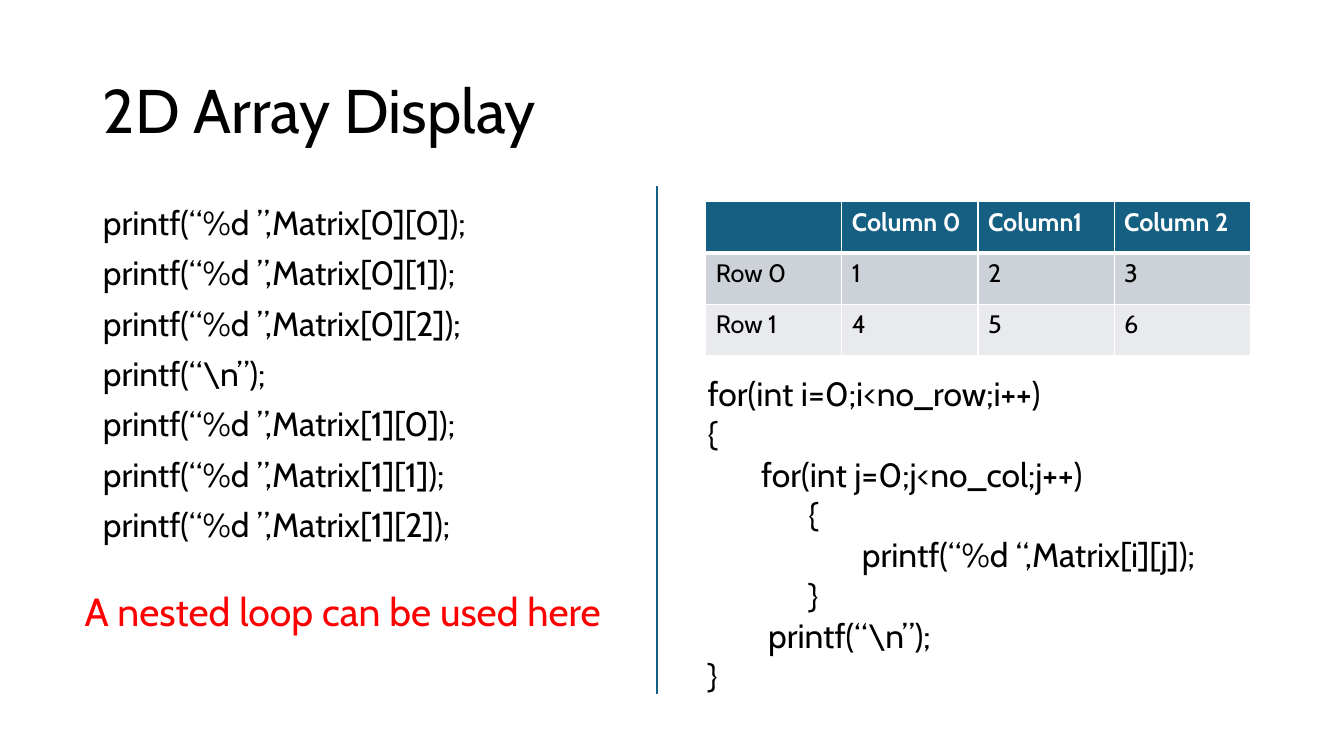
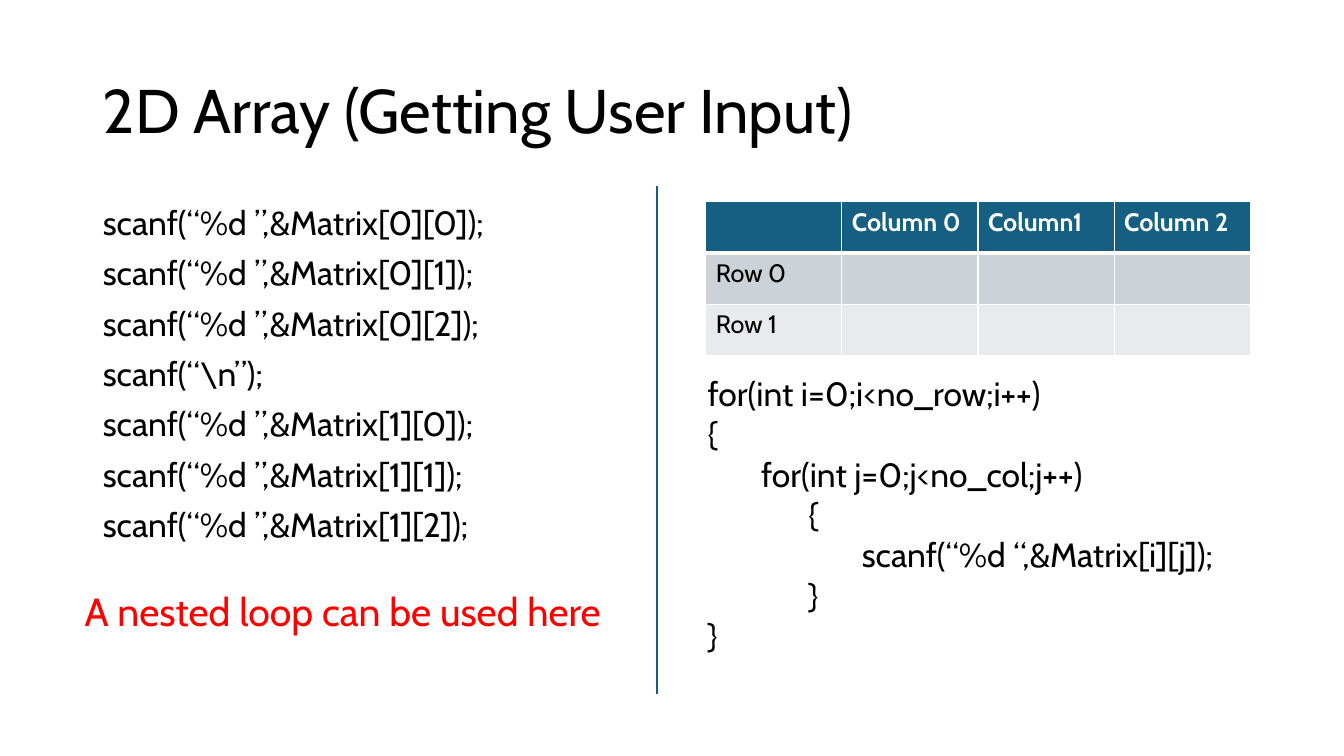
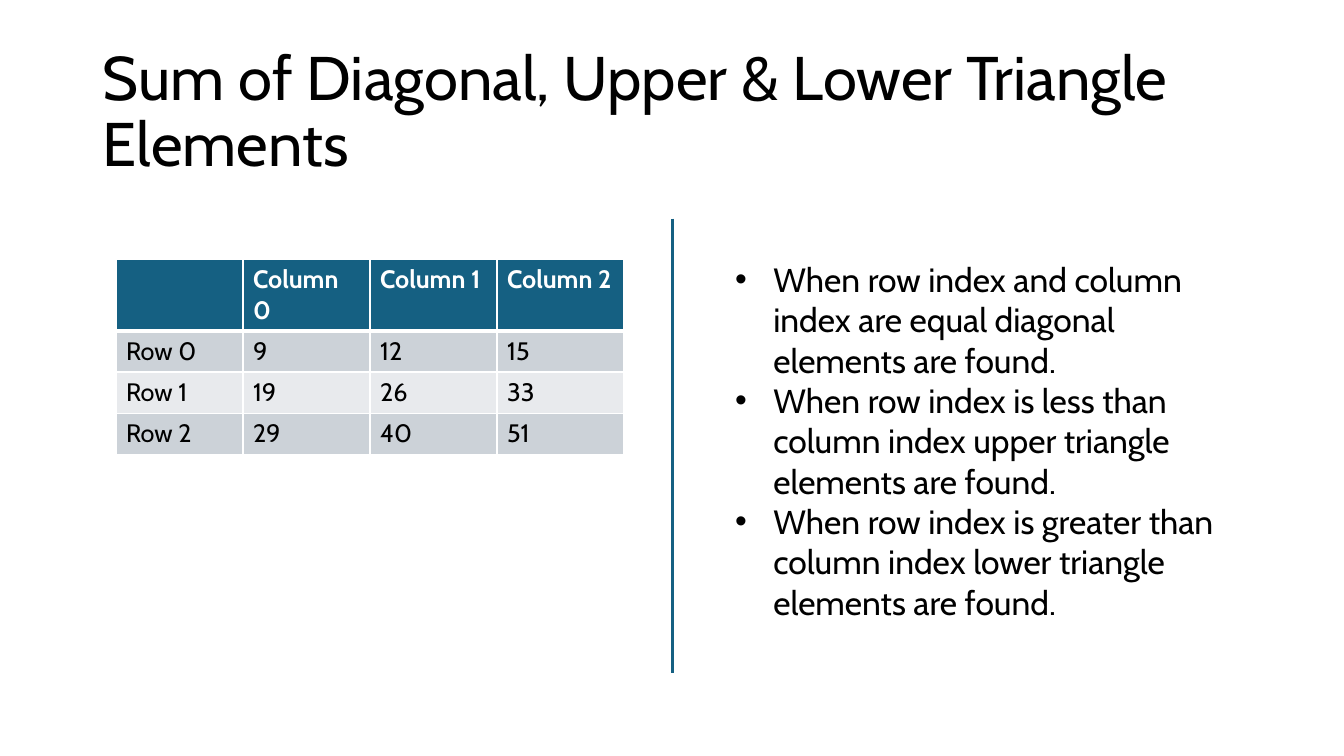
from dataclasses import dataclass

from lxml.etree import SubElement
from pptx import Presentation
from pptx.dml.color import RGBColor
from pptx.enum.shapes import MSO_CONNECTOR
from pptx.enum.text import MSO_ANCHOR, MSO_AUTO_SIZE, PP_ALIGN
from pptx.oxml.ns import qn
from pptx.slide import Slide
from pptx.text.text import TextFrame
from pptx.util import Inches, Pt


@dataclass(frozen=True)
class Theme:
    font: str = "Cabin"
    ink: str = "000000"
    paper: str = "FFFFFF"
    teal: str = "156082"
    red: str = "FF0000"
    bands: tuple[str, str] = ("CCD2D8", "E8EAED")
    title: int = 44
    note: int = 28
    body: int = 24
    cell: int = 18


@dataclass(frozen=True)
class Box:
    left: float
    top: float
    width: float
    height: float

    def place(self) -> tuple[int, int, int, int]:
        return (Inches(self.left), Inches(self.top),
                Inches(self.width), Inches(self.height))


@dataclass(frozen=True)
class Line:
    text: str
    indent: float = 0


@dataclass(frozen=True)
class Grid:
    left: float
    top: float
    col: float
    row: float
    cells: list[list[str]]


@dataclass(frozen=True)
class Rule:
    x: float
    top: float
    end: float


THEME = Theme()
HEAD = Box(0.92, 0.4, 11.5, 1.45)
BODY = Box(0.92, 2, 11.5, 4.76)
NOTE = Box(0.74, 5.78, 5.49, 0.62)
CODE = Box(6.92, 3.65, 5.4, 3.33)
FACTS = Box(7.19, 2.52, 5.23, 4.54)
HANG = 0.38


# Text
def write(frame: TextFrame, lines: list[Line], *, size: int = THEME.body,
          color: str = THEME.ink, bold: bool = False, space: float = 1,
          before: int = 0, bullet: bool = False) -> None:
    frame.word_wrap = True
    for i, line in enumerate(lines):
        para = frame.add_paragraph() if i else frame.paragraphs[0]
        para.alignment = PP_ALIGN.LEFT
        para.line_spacing = space
        para.space_before = Pt(before)
        run = para.add_run()
        run.text = line.text
        run.font.name = THEME.font
        run.font.size = Pt(size)
        run.font.bold = bold
        run.font.color.rgb = RGBColor.from_string(color)
        props = para._p.get_or_add_pPr()
        hang = HANG if bullet else 0
        props.set("marL", str(Inches(line.indent + hang)))
        props.set("indent", str(Inches(-hang)))
        if bullet:
            SubElement(props, qn("a:buFont"), typeface="Arial")
            SubElement(props, qn("a:buChar"), char="•")
        else:
            SubElement(props, qn("a:buNone"))


def add_text(slide: Slide, box: Box, lines: list[Line], **style) -> None:
    write(slide.shapes.add_textbox(*box.place()).text_frame, lines, **style)


def fill_holder(slide: Slide, index: int, box: Box, lines: list[Line],
                anchor: MSO_ANCHOR = MSO_ANCHOR.TOP, **style) -> None:
    shape = slide.placeholders[index]
    shape.left, shape.top, shape.width, shape.height = box.place()
    frame = shape.text_frame
    frame.auto_size = MSO_AUTO_SIZE.NONE
    frame.vertical_anchor = anchor
    write(frame, lines, **style)


# Tables and rules
def add_edge(props, side: str, width: float) -> None:
    edge = SubElement(props, qn(f"a:ln{side}"), w=str(Pt(width)))
    fill = SubElement(edge, qn("a:solidFill"))
    SubElement(fill, qn("a:srgbClr"), val=THEME.paper)


def add_grid(slide: Slide, grid: Grid) -> None:
    rows, cols = len(grid.cells), len(grid.cells[0])
    box = Box(grid.left, grid.top, grid.col * cols, grid.row * rows)
    table = slide.shapes.add_table(rows, cols, *box.place()).table
    for r, texts in enumerate(grid.cells):
        head = r == 0
        shade = THEME.teal if head else THEME.bands[(r - 1) % 2]
        for c, text in enumerate(texts):
            cell = table.cell(r, c)
            props = cell._tc.get_or_add_tcPr()
            for side in "LRTB":
                thick = (r, side) in ((0, "B"), (1, "T"))
                add_edge(props, side, 3 if thick else 1)
            cell.fill.solid()
            cell.fill.fore_color.rgb = RGBColor.from_string(shade)
            if text:
                write(cell.text_frame, [Line(text)], size=THEME.cell, bold=head,
                      color=THEME.paper if head else THEME.ink)


def add_rule(slide: Slide, rule: Rule) -> None:
    line = slide.shapes.add_connector(
        MSO_CONNECTOR.STRAIGHT, Inches(rule.x), Inches(rule.top),
        Inches(rule.x), Inches(rule.end))
    line.line.color.rgb = RGBColor.from_string(THEME.teal)
    line.line.width = Pt(1.5)
    SubElement(line._element.spPr, qn("a:effectLst"))


# Slides
def add_slide(deck, title: str, grid: Grid, rule: Rule) -> Slide:
    slide = deck.slides.add_slide(deck.slide_layouts[1])
    fill_holder(slide, 0, HEAD, [Line(title)], MSO_ANCHOR.MIDDLE,
                size=THEME.title, space=0.9)
    add_grid(slide, grid)
    add_rule(slide, rule)
    return slide


def add_loop(deck, title: str, call: str, mark: str, rows: list[list[str]],
             tail: list[Line]) -> None:
    cells = [["", "Column 0", "Column1", "Column 2"], *rows]
    slide = add_slide(deck, title, Grid(7, 2, 1.35, 0.51, cells),
                      Rule(6.52, 1.85, 6.89))
    steps = [[Line(f"{call}(“%d ”,{mark}Matrix[{r}][{c}]);") for c in range(3)]
             for r in range(2)]
    fill_holder(slide, 1, BODY, [*steps[0], Line(f"{call}(“\\n”);"), *steps[1]],
                space=0.9, before=10)
    add_text(slide, CODE, [
        Line("for(int i=0;i<no_row;i++)"),
        Line("{"),
        Line("for(int j=0;j<no_col;j++)", 0.53),
        Line("{", 1),
        Line(f"{call}(“%d “,{mark}Matrix[i][j]);", 1.53),
        Line("}", 1),
        *tail,
        Line("}"),
    ])
    add_text(slide, NOTE, [Line("A nested loop can be used here")],
             size=THEME.note, color=THEME.red)


def add_sums(deck) -> None:
    cells = [
        ["", "Column 0", "Column 1", "Column 2"],
        ["Row 0", "9", "12", "15"],
        ["Row 1", "19", "26", "33"],
        ["Row 2", "29", "40", "51"],
    ]
    slide = add_slide(deck, "Sum of Diagonal, Upper & Lower Triangle Elements",
                      Grid(1.15, 2.57, 1.26, 0.41, cells),
                      Rule(6.67, 2.17, 6.68))
    facts = [("is less than column index upper triangle"),
             ("is greater than column index lower triangle")]
    facts = ["and column index are equal diagonal", *facts]
    fill_holder(slide, 1, FACTS,
                [Line(f"When row index {fact} elements are found.")
                 for fact in facts], bullet=True)


def main() -> None:
    deck = Presentation()
    deck.slide_width, deck.slide_height = Inches(13.33), Inches(7.5)
    add_loop(deck, "2D Array Display", "printf", "",
             [["Row 0", "1", "2", "3"], ["Row 1", "4", "5", "6"]],
             [Line("printf(“\\n”);", 0.6)])
    add_loop(deck, "2D Array (Getting User Input)", "scanf", "&",
             [["Row 0", "", "", ""], ["Row 1", "", "", ""]], [])
    add_sums(deck)
    deck.save("out.pptx")


if __name__ == "__main__":
    main()
